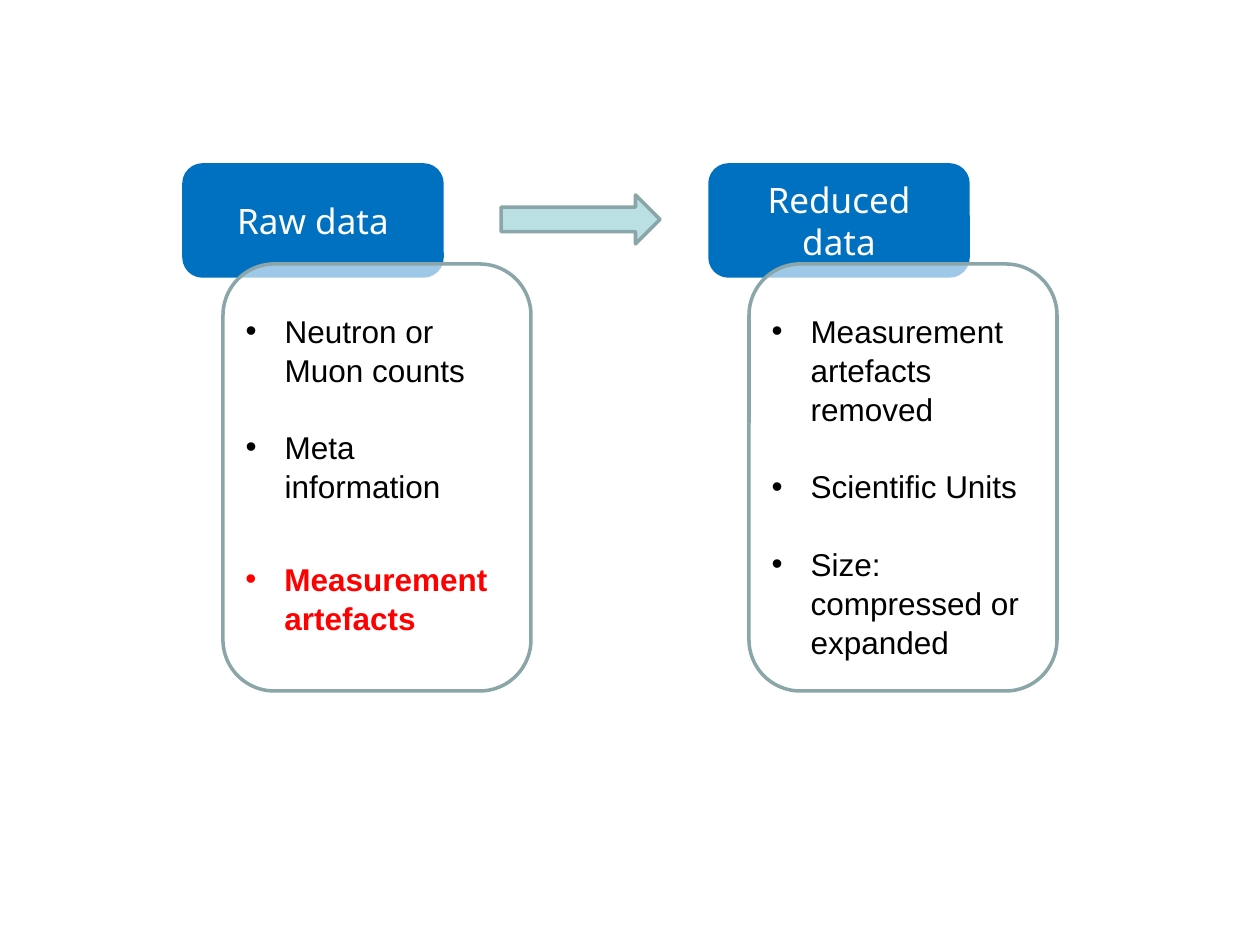
from dataclasses import dataclass

from lxml.etree import SubElement
from pptx import Presentation
from pptx.dml.color import RGBColor
from pptx.enum.shapes import MSO_SHAPE
from pptx.enum.text import MSO_ANCHOR, MSO_AUTO_SIZE, PP_ALIGN
from pptx.oxml.ns import qn
from pptx.util import Emu, Pt

SCALE = 914400 / 126


@dataclass(frozen=True)
class Theme:
    blue: str = "0070C0"
    white: str = "FFFFFF"
    black: str = "000000"
    red: str = "FF0000"
    edge: str = "8AA6A8"
    pale: str = "BBE0E3"
    head: str = "Noto Sans"
    body: str = "Arial"
    large: int = 20
    small: int = 18
    gap: float = 21.6
    lead: float = 1.04
    line: int = 2
    alpha: int = 62


THEME = Theme()


def px(num):
    return Emu(round(num * SCALE))


def place(shape, left, top, width, height):
    shape.left, shape.top = px(left), px(top)
    shape.width, shape.height = px(width), px(height)


def block(slide, kind, box, fill, line):
    shape = slide.shapes.add_shape(kind, *map(px, box))
    shape.shadow.inherit = False
    shape.fill.solid()
    shape.fill.fore_color.rgb = RGBColor.from_string(fill)
    shape.line.color.rgb = RGBColor.from_string(line)
    shape.line.width = Pt(THEME.line)
    return shape


def write(para, text, face, size, color, bold=False):
    run = para.add_run()
    run.text = text
    font = run.font
    font.name, font.size, font.bold = face, Pt(size), bold
    font.color.rgb = RGBColor.from_string(color)


def card(slide, left, text):
    box = (left, 165, 258, 111)
    shape = block(slide, MSO_SHAPE.ROUNDED_RECTANGLE, box, THEME.blue, THEME.blue)
    frame = shape.text_frame
    frame.word_wrap = True
    frame.vertical_anchor = MSO_ANCHOR.MIDDLE
    frame.margin_left = frame.margin_right = px(18)
    para = frame.paragraphs[0]
    para.alignment = PP_ALIGN.CENTER
    write(para, text, THEME.head, THEME.large, THEME.white)


def panel(slide, left):
    box = (left, 264, 308, 427)
    shape = block(slide, MSO_SHAPE.ROUNDED_RECTANGLE, box, THEME.white, THEME.edge)
    color = shape.fill._xPr.find(qn("a:solidFill"))[0]
    SubElement(color, qn("a:alpha"), val=str(THEME.alpha * 1000))


def bullet(para):
    props = para._p.get_or_add_pPr()
    props.set("marL", str(px(39)))
    props.set("indent", str(px(-39)))
    SubElement(props, qn("a:buFont"), typeface=THEME.body)
    SubElement(props, qn("a:buChar"), char="•")


def fill_list(shape, box, items, color, bold=False):
    place(shape, *box)
    frame = shape.text_frame
    frame.word_wrap = True
    frame.auto_size = MSO_AUTO_SIZE.SHAPE_TO_FIT_TEXT
    for i, item in enumerate(items):
        para = frame.add_paragraph() if i else frame.paragraphs[0]
        bullet(para)
        para.line_spacing = THEME.lead
        para.space_before = Pt(THEME.gap if i else 0)
        write(para, item, THEME.body, THEME.small, color, bold)


def column(slide, left, title, body, height, items):
    card(slide, left, title)
    panel(slide, left + 39)
    slide.shapes._spTree.append(body.element)
    fill_list(body, (left + 49, 304, 277, height), items, THEME.black)


def main():
    deck = Presentation()
    deck.slide_width, deck.slide_height = px(1260), px(945)
    slide = deck.slides.add_slide(deck.slide_layouts[3])
    title = slide.shapes.title.element
    title.getparent().remove(title)
    raw, tidy = [p for p in slide.placeholders if p.placeholder_format.idx in (1, 2)]

    column(slide, 184, "Raw data", raw, 204,
           ["Neutron or Muon counts", "Meta information"])
    note = slide.shapes.add_textbox(0, 0, 0, 0)
    fill_list(note, (233, 552, 287, 89), ["Measurement artefacts"], THEME.red, True)
    block(slide, MSO_SHAPE.RIGHT_ARROW, (501, 195, 159, 49), THEME.pale, THEME.edge)
    column(slide, 710, "Reduced data", tidy, 357,
           ["Measurement artefacts removed", "Scientific Units",
            "Size: compressed or expanded"])
    deck.save("out.pptx")


if __name__ == "__main__":
    main()
